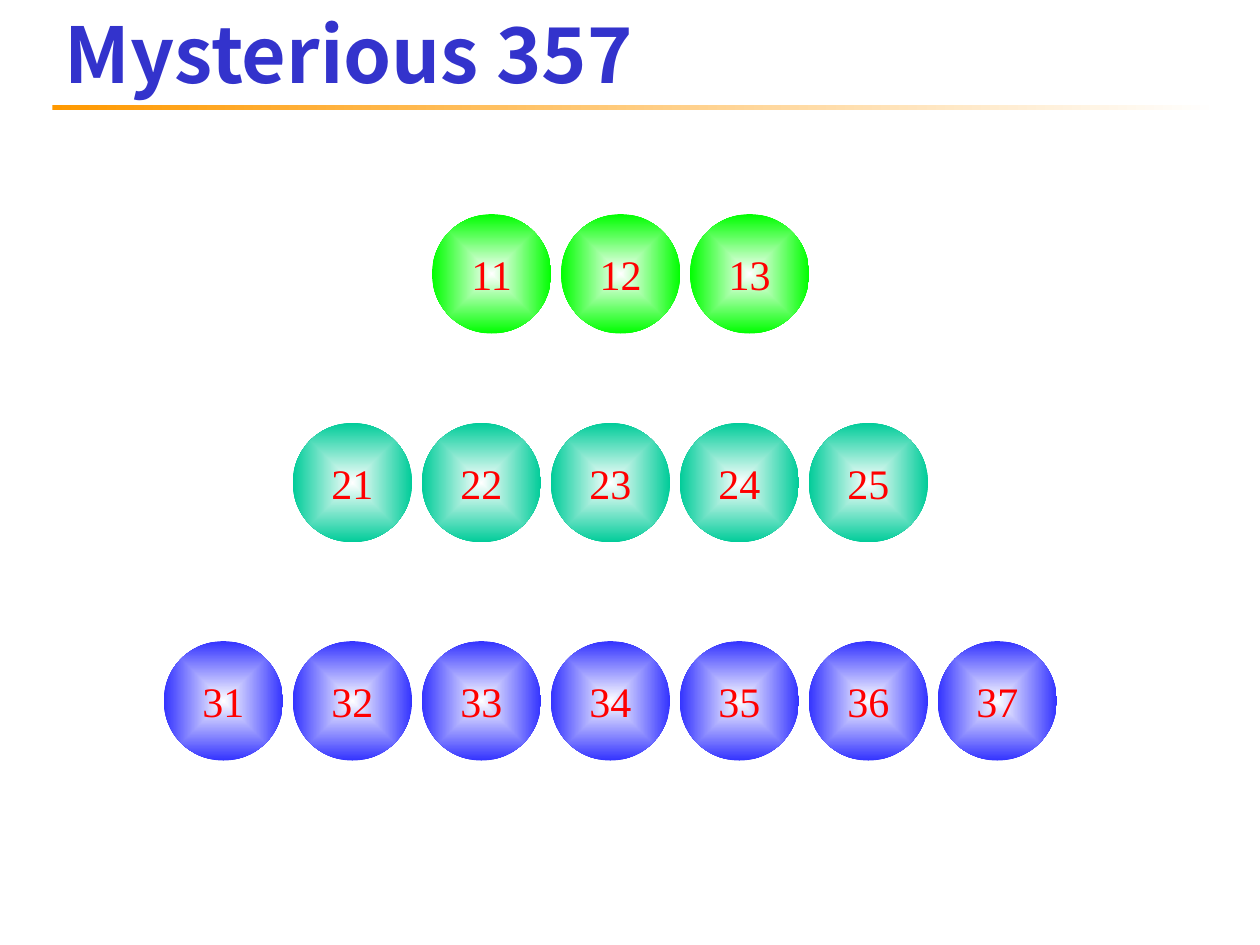
import lxml.etree
import pptx
import pptx.dml.color
import pptx.enum.shapes
import pptx.enum.text
import pptx.oxml.ns
import pptx.util

Pt = pptx.util.Pt
qn = pptx.oxml.ns.qn

COLORS = {
    "title": "3333CC",
    "rule": "FF9900",
    "number": "FF0000",
    "white": "FFFFFF",
    "green": "00FF00",
    "teal": "00CC99",
    "blue": "3333FF",
}
TITLE = "Mysterious 357"
# first number, ball count, colour, left, top
BALL_ROWS = [
    (11, 3, "green", 246.9, 122.4),
    (21, 5, "teal", 167.3, 241.7),
    (31, 7, "blue", 93.6, 366.4),
]
BALL_SIZE = 68.2
BALL_PITCH = 73.7


def rgb(name):
    return pptx.dml.color.RGBColor.from_string(COLORS[name])


def add_gradient_shape(slide, kind, box, start, end):
    shape = slide.shapes.add_shape(kind, *map(Pt, box))
    shape.shadow.inherit = False
    shape.line.fill.background()
    shape.fill.gradient()
    shape.fill.gradient_angle = 0
    for stop, name in zip(shape.fill.gradient_stops, (start, end)):
        stop.color.rgb = rgb(name)
    return shape


def radiate_from_centre(shape):
    """Turn the linear gradient into one that follows the shape outwards."""
    gradient = shape._element.spPr.find(qn("a:gradFill"))
    gradient.remove(gradient.find(qn("a:lin")))
    route = lxml.etree.SubElement(gradient, qn("a:path"), {"path": "shape"})
    lxml.etree.SubElement(route, qn("a:fillToRect"), dict.fromkeys("ltrb", "50000"))


def write(shape, text, font_name, size, color, align, wrap):
    frame = shape.text_frame
    frame.text = text
    frame.word_wrap = wrap
    frame.vertical_anchor = pptx.enum.text.MSO_ANCHOR.MIDDLE
    paragraph = frame.paragraphs[0]
    paragraph.alignment = align
    font = paragraph.runs[0].font
    font.name, font.size, font.color.rgb = font_name, Pt(size), rgb(color)
    return font


def main():
    shapes = pptx.enum.shapes.MSO_SHAPE
    align = pptx.enum.text.PP_ALIGN
    deck = pptx.Presentation()
    deck.slide_width, deck.slide_height = Pt(720), Pt(540)
    slide = deck.slides.add_slide(deck.slide_layouts[6])

    add_gradient_shape(slide, shapes.RECTANGLE, (30, 60, 666, 3), "rule", "white")
    title = slide.shapes.add_textbox(Pt(30), Pt(0), Pt(690), Pt(60))
    title_font = write(title, TITLE, "Noto Sans CJK SC", 44, "title", align.LEFT, True)
    title_font.bold = True

    for first, count, color, left, top in BALL_ROWS:
        for i in range(count):
            box = (left + i * BALL_PITCH, top, BALL_SIZE, BALL_SIZE)
            ball = add_gradient_shape(slide, shapes.OVAL, box, "white", color)
            radiate_from_centre(ball)
            write(ball, str(first + i), "Times New Roman", 24, "number", align.CENTER, False)

    deck.save("out.pptx")


if __name__ == "__main__":
    main()
